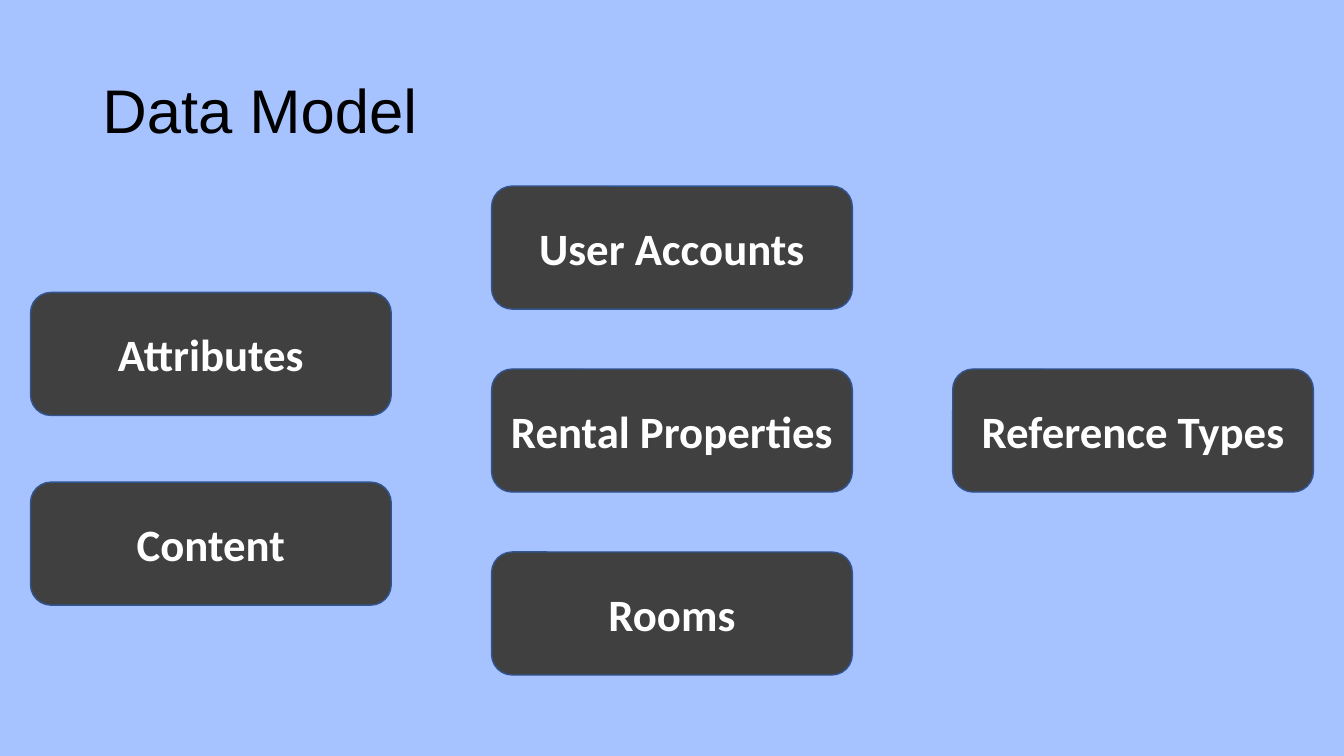
import pptx
import pptx.dml.color
import pptx.enum.shapes
import pptx.enum.text
import pptx.util

Cm, Pt = pptx.util.Cm, pptx.util.Pt
RGB = pptx.dml.color.RGBColor.from_string
ALIGN = pptx.enum.text.PP_ALIGN
MIDDLE = pptx.enum.text.MSO_ANCHOR.MIDDLE

COLORS = {
    "background": "A6C3FF",
    "title": "000000",
    "box": "404040",
    "outline": "325491",
    "label": "FFFFFF",
}
TITLE_FONT = {"name": "Arial", "size": Pt(44)}
LABEL_FONT = {"name": "Calibri", "size": Pt(32), "bold": True}

BOX_W, BOX_H = 9.09, 3.1
LEFT_MARGIN, COLUMN_PITCH = 0.77, 11.62

# Each column: top of its first box, vertical pitch, labels (cm)
COLUMNS = [
    (7.37, 4.78, ["Attributes", "Content"]),
    (4.69, 4.61, ["User Accounts", "Rental Properties", "Rooms"]),
    (9.3, 0, ["Reference Types"]),
]


def write_text(sp, text, font, color, align):
    tf = sp.text_frame
    tf.word_wrap = True
    tf.vertical_anchor = MIDDLE
    p = tf.paragraphs[0]
    p.alignment = align
    r = p.add_run()
    r.text = text
    for name, value in font.items():
        setattr(r.font, name, value)
    r.font.color.rgb = RGB(COLORS[color])
    return p


def add_title(s, text):
    sp = s.shapes.add_textbox(Cm(2.33), Cm(1.01), Cm(29.21), Cm(3.68))
    p = write_text(sp, text, TITLE_FONT, "title", ALIGN.LEFT)
    p.line_spacing = 0.9


def add_box(s, left, top, label):
    sp = s.shapes.add_shape(
        pptx.enum.shapes.MSO_SHAPE.ROUNDED_RECTANGLE,
        Cm(left), Cm(top), Cm(BOX_W), Cm(BOX_H))
    sp.shadow.inherit = False
    sp.fill.solid()
    sp.fill.fore_color.rgb = RGB(COLORS["box"])
    sp.line.color.rgb = RGB(COLORS["outline"])
    sp.line.width = Pt(1)
    write_text(sp, label, LABEL_FONT, "label", ALIGN.CENTER)


def main():
    prs = pptx.Presentation()
    prs.slide_width, prs.slide_height = Cm(33.87), Cm(19.05)
    s = prs.slides.add_slide(prs.slide_layouts[6])
    s.background.fill.solid()
    s.background.fill.fore_color.rgb = RGB(COLORS["background"])

    add_title(s, "Data Model")
    for column, (top, pitch, labels) in enumerate(COLUMNS):
        for row, label in enumerate(labels):
            add_box(s, LEFT_MARGIN + column * COLUMN_PITCH, top + row * pitch, label)

    prs.save("out.pptx")


if __name__ == "__main__":
    main()
